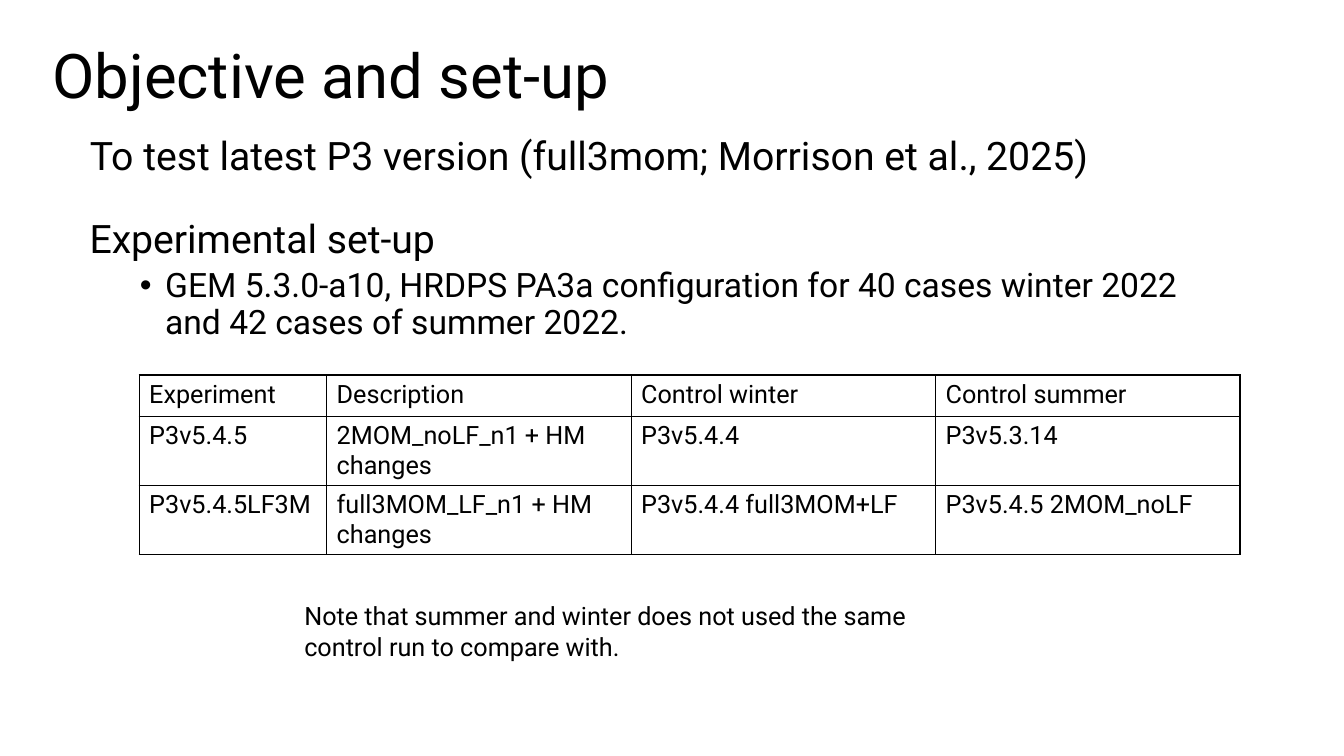
from dataclasses import dataclass

from lxml.etree import SubElement
from pptx import Presentation
from pptx.dml.color import RGBColor
from pptx.enum.text import MSO_ANCHOR, MSO_AUTO_SIZE, PP_ALIGN
from pptx.oxml.ns import qn
from pptx.util import Inches, Pt

BLACK = RGBColor(0x00, 0x00, 0x00)
FONT = "Roboto"
COLUMN_WIDTHS = (1.86, 3.02, 3.02, 3.02)
ROW_HEIGHT = 0.41
EXPERIMENTS = (
    ("Experiment", "Description", "Control winter", "Control summer"),
    ("P3v5.4.5", "2MOM_noLF_n1 + HM changes", "P3v5.4.4", "P3v5.3.14"),
    ("P3v5.4.5LF3M", "full3MOM_LF_n1 + HM changes", "P3v5.4.4 full3MOM+LF", "P3v5.4.5 2MOM_noLF"),
)


@dataclass(frozen=True)
class Line:
    text: str
    size: float
    spacing: float = 1.0
    before: float = 0
    bulleted: bool = False


@dataclass(frozen=True)
class Box:
    left: float
    top: float
    width: float
    height: float

    def lengths(self) -> tuple:
        return tuple(Inches(n) for n in (self.left, self.top, self.width, self.height))


def write_lines(frame, lines: tuple[Line, ...]) -> None:
    frame.word_wrap = True
    for index, line in enumerate(lines):
        paragraph = frame.add_paragraph() if index else frame.paragraphs[0]
        paragraph.text = line.text
        paragraph.alignment = PP_ALIGN.LEFT
        paragraph.line_spacing = line.spacing
        paragraph.space_before = Pt(line.before)
        properties = paragraph._p.get_or_add_pPr()
        if line.bulleted:
            paragraph.level = 1
            properties.set("marL", str(Inches(0.75)))
            properties.set("indent", str(Inches(-0.25)))
            SubElement(properties, qn("a:buFont"), typeface="Arial")
            SubElement(properties, qn("a:buChar"), char="•")
        else:
            properties.set("marL", "0")
            properties.set("indent", "0")
            SubElement(properties, qn("a:buNone"))
        paragraph.font.name = FONT
        paragraph.font.size = Pt(line.size)
        paragraph.font.color.rgb = BLACK


def fill_placeholder(placeholder, box: Box, line: Line, anchor: MSO_ANCHOR) -> None:
    placeholder.left, placeholder.top, placeholder.width, placeholder.height = box.lengths()
    write_lines(placeholder.text_frame, (line,))
    placeholder.text_frame.auto_size = MSO_AUTO_SIZE.NONE
    placeholder.text_frame.vertical_anchor = anchor


def add_text(slide, box: Box, lines: tuple[Line, ...], auto_size: MSO_AUTO_SIZE) -> None:
    frame = slide.shapes.add_textbox(*box.lengths()).text_frame
    write_lines(frame, lines)
    frame.auto_size = auto_size


def outline_cell(cell) -> None:
    properties = cell._tc.get_or_add_tcPr()
    for side in ("lnL", "lnR", "lnT", "lnB"):
        border = SubElement(properties, qn(f"a:{side}"), w=str(Pt(1)))
        SubElement(SubElement(border, qn("a:solidFill")), qn("a:srgbClr"), val=str(BLACK))


def add_experiments(slide, left: float, top: float) -> None:
    box = Box(left, top, sum(COLUMN_WIDTHS), ROW_HEIGHT * len(EXPERIMENTS))
    table = slide.shapes.add_table(len(EXPERIMENTS), len(COLUMN_WIDTHS), *box.lengths()).table
    table.first_row = False
    table.horz_banding = False
    for column, width in zip(table.columns, COLUMN_WIDTHS):
        column.width = Inches(width)
    for row, texts in zip(table.rows, EXPERIMENTS):
        for cell, text in zip(row.cells, texts):
            write_lines(cell.text_frame, (Line(text, 18),))
            outline_cell(cell)
            cell.fill.background()


def main() -> None:
    presentation = Presentation()
    presentation.slide_width = Inches(13.33)
    presentation.slide_height = Inches(7.5)
    slide = presentation.slides.add_slide(presentation.slide_layouts[1])
    fill_placeholder(
        slide.shapes.title,
        Box(0.42, 0.05, 11.5, 1.45),
        Line("Objective and set-up", 44, 0.9),
        MSO_ANCHOR.MIDDLE,
    )
    fill_placeholder(
        slide.placeholders[1],
        Box(0.79, 1.31, 11.5, 1.67),
        Line("To test latest P3 version (full3mom; Morrison et al., 2025)", 28, 0.9),
        MSO_ANCHOR.TOP,
    )
    setup = (
        Line("Experimental set-up", 28, 0.9),
        Line(
            "GEM 5.3.0-a10, HRDPS PA3a configuration for 40 cases winter 2022 "
            "and 42 cases of summer 2022.",
            24, 0.9, before=5, bulleted=True,
        ),
    )
    add_text(slide, Box(0.79, 2.13, 11.5, 1.67), setup, MSO_AUTO_SIZE.NONE)
    add_experiments(slide, 1.38, 3.72)
    note = Line("Note that summer and winter does not used the same control run to compare with.", 18)
    add_text(slide, Box(2.92, 5.91, 6.17, 0.71), (note,), MSO_AUTO_SIZE.SHAPE_TO_FIT_TEXT)
    presentation.save("out.pptx")


if __name__ == "__main__":
    main()
